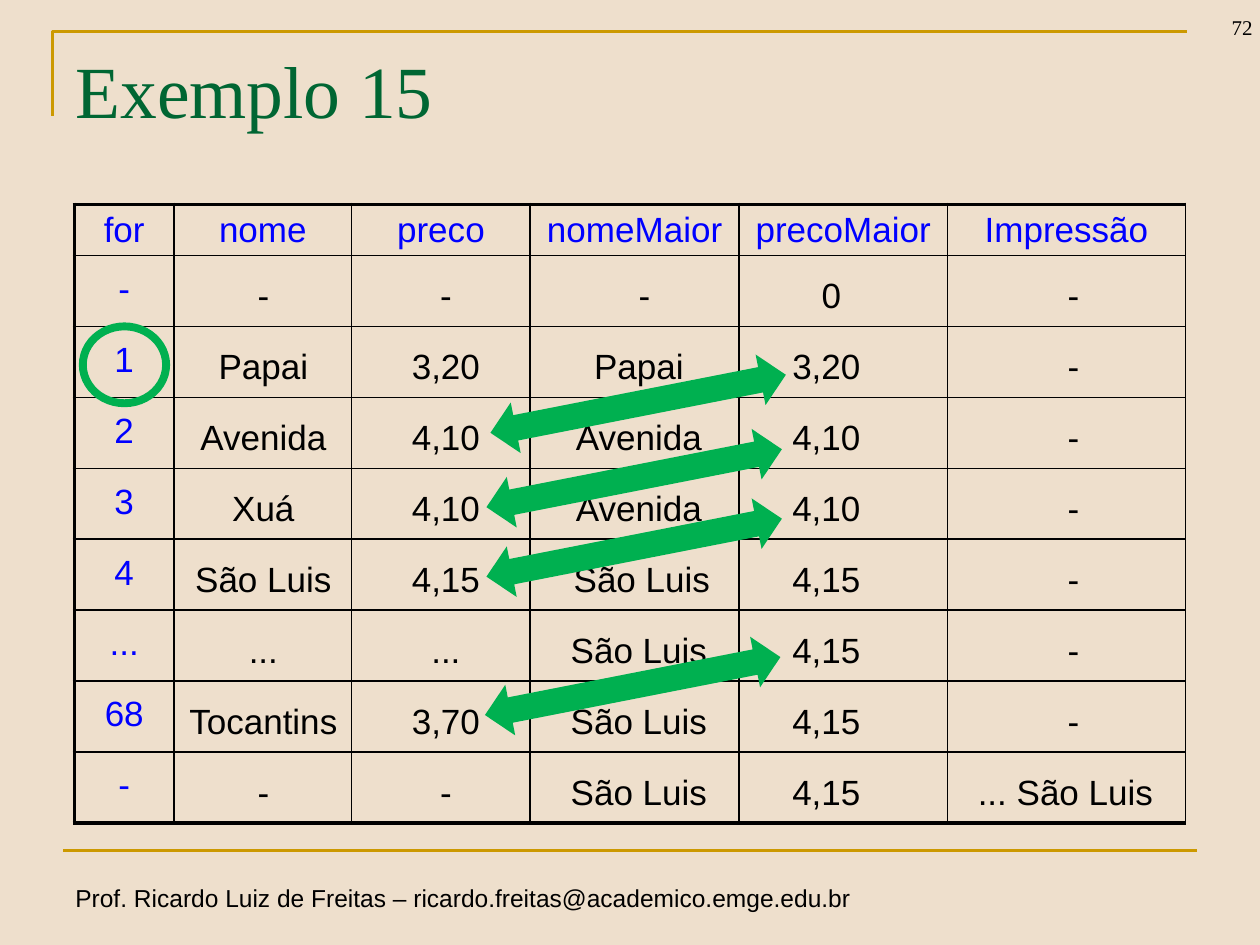
from dataclasses import dataclass

import pptx
import pptx.dml.color
import pptx.enum.shapes
import pptx.enum.text
import pptx.oxml.ns
import pptx.util
from lxml import etree

Cm = pptx.util.Cm
Pt = pptx.util.Pt
Align = pptx.enum.text.PP_ALIGN
Anchor = pptx.enum.text.MSO_ANCHOR
Preset = pptx.enum.shapes.MSO_SHAPE


@dataclass(frozen=True)
class Theme:
    paper: str = "EEDFCC"
    gold: str = "CC9900"
    heading: str = "006633"
    ink: str = "000000"
    key: str = "0000FF"
    mark: str = "00B050"
    sans: str = "Arial"
    serif: str = "Times New Roman"
    title_size: float = 42
    table_size: float = 20
    footer_size: float = 14
    number_size: float = 12
    frame_line: float = 1.5
    grid_line: float = 1
    edge_line: float = 2.25
    ring_line: float = 4.5


THEME = Theme()

HEADINGS = ["for", "nome", "preco", "nomeMaior", "precoMaior", "Impressão"]
STEPS = [
    ["-", "-", "-", "-", "0", "-"],
    ["1", "Papai", "3,20", "Papai", "3,20", "-"],
    ["2", "Avenida", "4,10", "Avenida", "4,10", "-"],
    ["3", "Xuá", "4,10", "Avenida", "4,10", "-"],
    ["4", "São Luis", "4,15", "São Luis", "4,15", "-"],
    ["...", "...", "...", "São Luis", "4,15", "-"],
    ["68", "Tocantins", "3,70", "São Luis", "4,15", "-"],
    ["-", "-", "-", "São Luis", "4,15", "... São Luis"],
]
COLUMN_WIDTHS = [2.01, 3.58, 3.6, 4.21, 4.2, 4.8]
HEADING_HEIGHT = 1.03
STEP_HEIGHT = 1.43
VALUE_CENTRES = [3.81, 7.49, 11.38, 15.16, 20.14]
VALUE_NUDGES = {(0, 2): 0.11, (0, 3): 0.1, (4, 2): 0.06, (7, 4): -0.16}
PRICE_WIDTH = 1.68
VALUE_WIDTHS = {
    "-": 0.57, "0": 0.6, "...": 0.89, "Papai": 2.21, "Avenida": 2.87,
    "Xuá": 1.63, "São Luis": 3.1, "Tocantins": 3.38, "... São Luis": 3.9,
}


def rgb(value):
    return pptx.dml.color.RGBColor.from_string(value)


def write(frame, text, *, size, color=THEME.ink, font=THEME.sans,
          align=Align.LEFT, anchor=Anchor.TOP, wrap=True, inset=None):
    frame.word_wrap = wrap
    frame.vertical_anchor = anchor
    if inset is not None:
        frame.margin_left = frame.margin_right = Cm(inset)
        frame.margin_top = frame.margin_bottom = Cm(inset)
    paragraph = frame.paragraphs[0]
    paragraph.alignment = align
    run = paragraph.add_run()
    run.text = text
    run.font.size = Pt(size)
    run.font.name = font
    run.font.bold = False
    run.font.color.rgb = rgb(color)


def add_text(slide, left, top, width, height, text, **style):
    box = slide.shapes.add_textbox(Cm(left), Cm(top), Cm(width), Cm(height))
    write(box.text_frame, text, **style)


def add_mark(slide, preset, left, top, width, height):
    mark = slide.shapes.add_shape(preset, Cm(left), Cm(top), Cm(width), Cm(height))
    mark.shadow.inherit = False
    return mark


def set_borders(cell, **widths):
    properties = cell._tc.get_or_add_tcPr()
    for position, side in enumerate("LRTB"):
        border = etree.Element(pptx.oxml.ns.qn(f"a:ln{side}"), w=str(Pt(widths[side])))
        fill = etree.SubElement(border, pptx.oxml.ns.qn("a:solidFill"))
        etree.SubElement(fill, pptx.oxml.ns.qn("a:srgbClr"), val=THEME.ink)
        properties.insert(position, border)


def header(slide, left, top, width, height):
    builder = slide.shapes.build_freeform(Cm(left), Cm(top + height))
    builder.add_line_segments(
        [(Cm(left), Cm(top)), (Cm(left + width), Cm(top))], close=False)
    corner = builder.convert_to_shape()
    corner.shadow.inherit = False
    corner.fill.background()
    corner.line.color.rgb = rgb(THEME.gold)
    corner.line.width = Pt(THEME.frame_line)

    title = slide.shapes.title
    title.left, title.top = Cm(left + 0.21), Cm(top + 0.13)
    title.width, title.height = Cm(width), Cm(3.18)
    write(title.text_frame, "Exemplo 15", size=THEME.title_size,
          color=THEME.heading, font=THEME.serif)
    title.text_frame.margin_top = Cm(0.14)
    add_text(slide, left + 22.54, top - 0.98, 1.9, 1.27, "72", size=THEME.number_size,
             font=THEME.serif, align=Align.RIGHT, anchor=Anchor.BOTTOM)


def footer(slide, left, top, width):
    rule = slide.shapes.add_connector(
        pptx.enum.shapes.MSO_CONNECTOR.STRAIGHT,
        Cm(left), Cm(top), Cm(left + width), Cm(top))
    rule.line.color.rgb = rgb(THEME.gold)
    rule.line.width = Pt(THEME.frame_line)
    etree.SubElement(rule._element.spPr, pptx.oxml.ns.qn("a:effectLst"))
    add_text(slide, left, top + 0.53, 16.21, 0.86,
             "Prof. Ricardo Luiz de Freitas – ricardo.freitas@academico.emge.edu.br",
             size=THEME.footer_size, wrap=False)


def trace_grid(slide, left, top):
    heights = [HEADING_HEIGHT] + [STEP_HEIGHT] * len(STEPS)
    grid = slide.shapes.add_table(
        len(heights), len(HEADINGS), Cm(left), Cm(top),
        Cm(sum(COLUMN_WIDTHS)), Cm(sum(heights))).table
    grid.first_row = grid.horz_banding = False
    for column, width in zip(grid.columns, COLUMN_WIDTHS):
        column.width = Cm(width)
    for r, height in enumerate(heights):
        grid.rows[r].height = Cm(height)
        for c, heading in enumerate(HEADINGS):
            cell = grid.cell(r, c)
            cell.margin_bottom = Cm(0.05 if r == 0 else 0.2)
            cell.fill.background()
            set_borders(
                cell,
                L=THEME.edge_line if c == 0 else THEME.grid_line,
                R=THEME.grid_line,
                T=THEME.edge_line if r == 0 else THEME.grid_line,
                B=THEME.edge_line if r == len(STEPS) else THEME.grid_line)
            if r == 0 or c == 0:
                write(cell.text_frame, heading if r == 0 else STEPS[r - 1][0],
                      size=THEME.table_size, color=THEME.key, align=Align.CENTER)
                cell.vertical_anchor = Anchor.MIDDLE if r else Anchor.TOP


def trace_values(slide, left, top):
    for r, step in enumerate(STEPS):
        for c, (value, centre) in enumerate(zip(step[1:], VALUE_CENTRES)):
            width = VALUE_WIDTHS.get(value, PRICE_WIDTH)
            middle = left + centre + VALUE_NUDGES.get((r, c), 0)
            add_text(slide, middle - width / 2, top + 1.4 + r * STEP_HEIGHT,
                     width, 0.86, value, size=THEME.table_size,
                     align=Align.CENTER, wrap=False, inset=0)


def trace_marks(slide, left, top):
    for x, y in [(8.33, 3.5), (8.25, 5), (8.25, 6.4), (8.22, 9.19)]:
        comparison = add_mark(slide, Preset.LEFT_RIGHT_ARROW, left + x, top + y, 6.07, 1.04)
        comparison.rotation = 348.9
        comparison.fill.solid()
        comparison.fill.fore_color.rgb = rgb(THEME.mark)
        comparison.line.fill.background()
    first_pass = add_mark(slide, Preset.OVAL, left + 0.17, top + 2.46, 1.68, 1.55)
    first_pass.fill.background()
    first_pass.line.color.rgb = rgb(THEME.mark)
    first_pass.line.width = Pt(THEME.ring_line)


def trace_slide(deck):
    slide = deck.slides.add_slide(deck.slide_layouts.get_by_name("Title Only"))
    slide.background.fill.solid()
    slide.background.fill.fore_color.rgb = rgb(THEME.paper)
    header(slide, 1.06, 0.63, 22.86, 1.7)
    footer(slide, 1.27, 17.15, 22.86)
    for draw in (trace_grid, trace_values, trace_marks):
        draw(slide, 1.5, 4.12)


def main():
    deck = pptx.Presentation()
    deck.slide_width, deck.slide_height = Cm(25.4), Cm(19.05)
    trace_slide(deck)
    deck.save("out.pptx")


if __name__ == "__main__":
    main()
